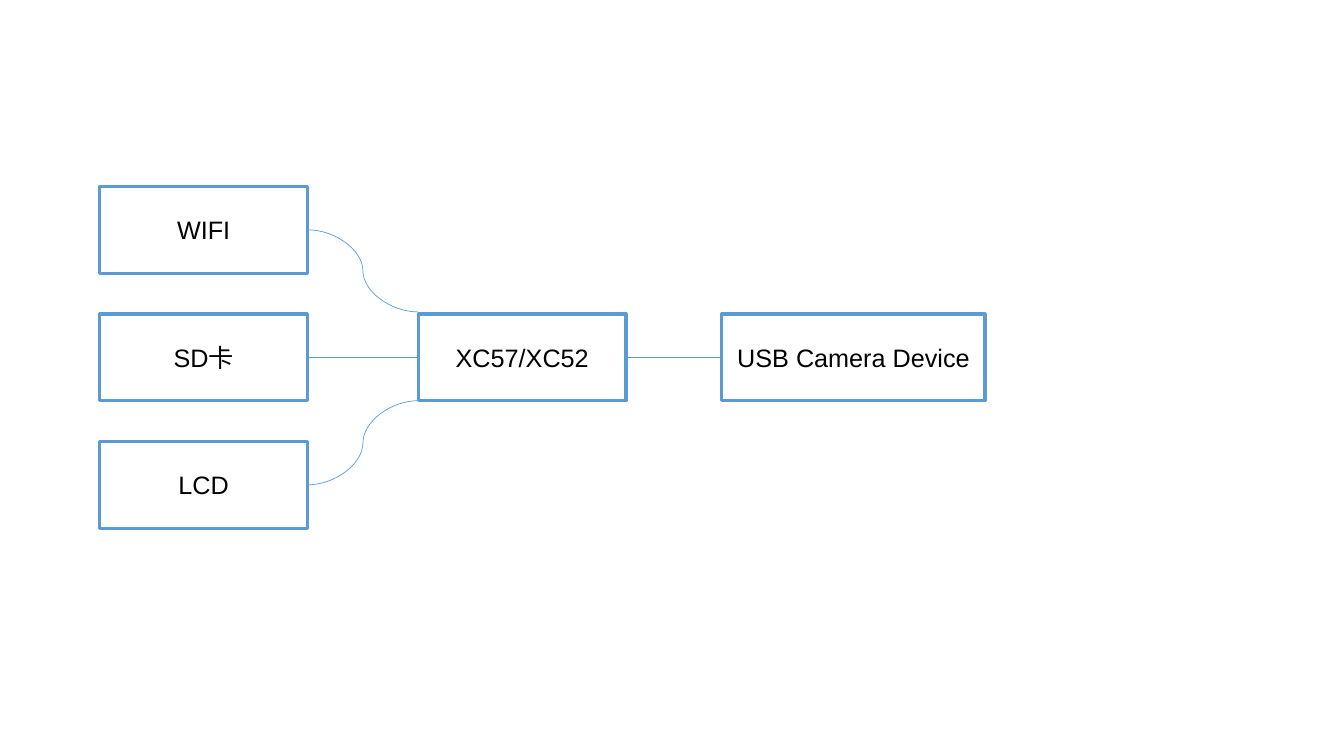
import pptx
import pptx.util
from pptx.dml.color import RGBColor
from pptx.enum.shapes import MSO_CONNECTOR, MSO_SHAPE
from pptx.enum.text import MSO_ANCHOR, PP_ALIGN
from pptx.oxml.xmlchemy import OxmlElement

Inches = pptx.util.Inches
Pt = pptx.util.Pt

BLUE = "5B9BD5"
BOX_W, BOX_H = 2.06, 0.86
ROW_PITCH = 1.265
PERIPHERALS = ["WIFI", "SD卡", "LCD"]


def color(hex_value):
    return RGBColor.from_string(hex_value)


def add_box(slide, text, x, y, w=BOX_W):
    s = slide.shapes.add_shape(MSO_SHAPE.RECTANGLE, Inches(x), Inches(y),
                               Inches(w), Inches(BOX_H))
    s.shadow.inherit = False
    s.fill.solid()
    s.fill.fore_color.rgb = color("FFFFFF")
    s.line.color.rgb = color(BLUE)
    s.line.width = Pt(2.25)
    tf = s.text_frame
    tf.word_wrap = True
    tf.vertical_anchor = MSO_ANCHOR.MIDDLE
    p = tf.paragraphs[0]
    p.text = text
    p.alignment = PP_ALIGN.CENTER
    p.font.name = "Arial"
    p.font.size = Pt(18)
    p.font.color.rgb = color("000000")
    return s


def add_link(slide, kind, start, end):
    c = slide.shapes.add_connector(kind, *start, *end)
    c.line.color.rgb = color(BLUE)
    c.line.width = Pt(0.5)
    c._element.spPr.append(OxmlElement("a:effectLst"))
    return c


def right_middle(box):
    return box.left + box.width, box.top + box.height // 2


def link_straight(slide, left_box, right_box):
    end = right_box.left, right_box.top + right_box.height // 2
    c = add_link(slide, MSO_CONNECTOR.STRAIGHT, right_middle(left_box), end)
    c.begin_connect(left_box, 3)
    c.end_connect(right_box, 1)


def build_block_diagram(slide, x, y):
    """Peripherals stacked on the left, linked to the controller and camera."""
    wifi, sd_card, lcd = [add_box(slide, name, x, y + i * ROW_PITCH)
                          for i, name in enumerate(PERIPHERALS)]
    middle_y = y + ROW_PITCH
    controller = add_box(slide, "XC57/XC52", x + 3.16, middle_y)
    camera = add_box(slide, "USB Camera Device", x + 6.17, middle_y, 2.61)

    link_straight(slide, controller, camera)
    link_straight(slide, sd_card, controller)
    top = controller.top - Inches(0.02)
    bottom = controller.top + controller.height
    for box, corner_y in ((wifi, top), (lcd, bottom)):
        add_link(slide, MSO_CONNECTOR.CURVE, right_middle(box),
                 (controller.left, corner_y))


def main():
    prs = pptx.Presentation()
    prs.slide_width = Inches(13.33)
    prs.slide_height = Inches(7.5)
    slide = prs.slides.add_slide(prs.slide_layouts[6])
    build_block_diagram(slide, 0.99, 1.85)
    prs.save("out.pptx")


if __name__ == "__main__":
    main()
